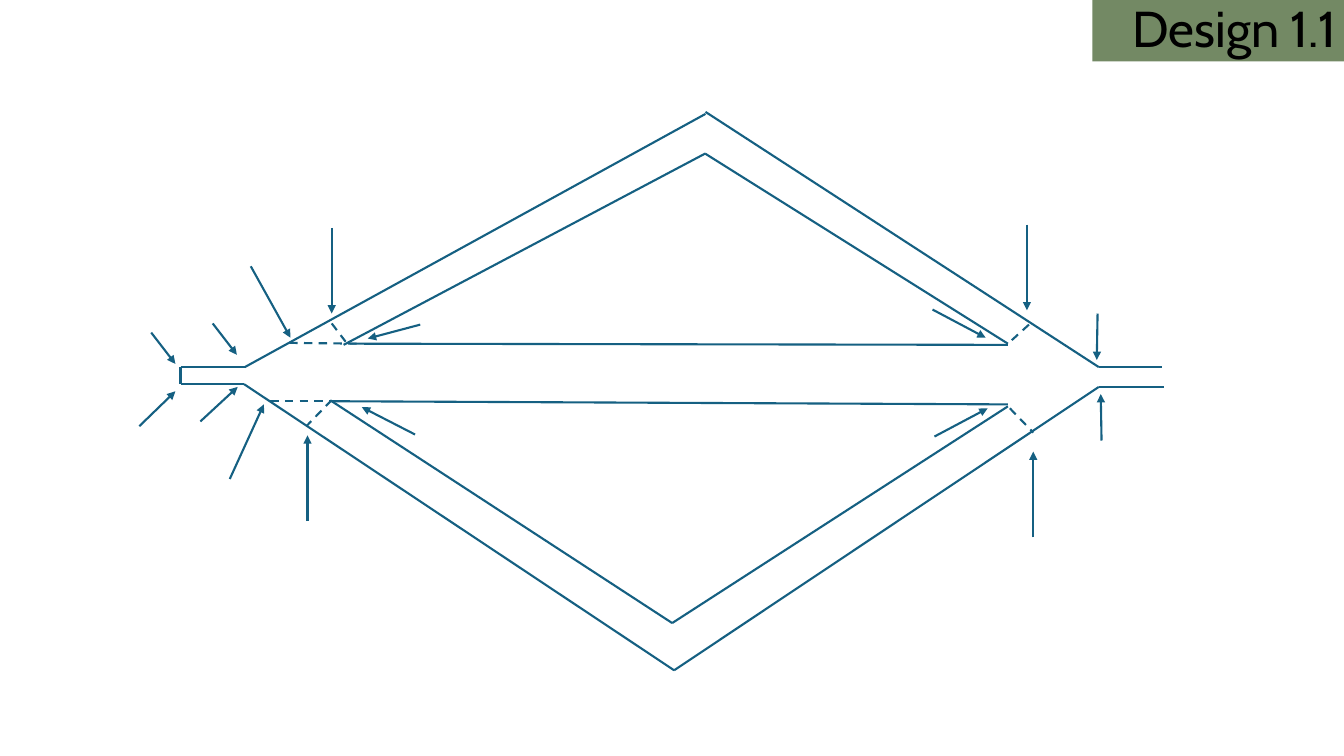
"""Build the Design 1.1 slide: a split diamond channel with arrows at its joints."""
import pptx
import pptx.util
import pptx.dml.color
import pptx.enum.dml
import pptx.enum.shapes
import pptx.enum.text
import lxml.etree
from pptx.util import Cm

DRAWING_NS = "{http://schemas.openxmlformats.org/drawingml/2006/main}"


def colour(hex_string):
    return pptx.dml.color.RGBColor.from_string(hex_string)


def draw_line(start, end):
    connector = slide.shapes.add_connector(
        pptx.enum.shapes.MSO_CONNECTOR.STRAIGHT, *map(Cm, start + end))
    connector.line.color.rgb = colour("156082")
    connector.line.width = pptx.util.Pt(1.5)
    lxml.etree.SubElement(connector.element.spPr, DRAWING_NS + "effectLst")
    return connector


deck = pptx.Presentation()
deck.slide_width, deck.slide_height = Cm(33.87), Cm(19.05)
slide = deck.slides.add_slide(deck.slide_layouts[5])

title = slide.shapes.title
title.left, title.top, title.width, title.height = Cm(27.53), Cm(0.03), Cm(6.4), Cm(1.52)
heading = title.text_frame
heading.text = "Design 1.1"
heading.auto_size = pptx.enum.text.MSO_AUTO_SIZE.NONE
heading.vertical_anchor = pptx.enum.text.MSO_ANCHOR.MIDDLE
heading.paragraphs[0].alignment = pptx.enum.text.PP_ALIGN.RIGHT
heading.paragraphs[0].line_spacing = 0.9
heading_font = heading.paragraphs[0].runs[0].font
heading_font.name = "Cabin"
heading_font.size = pptx.util.Pt(36)
heading_font.color.rgb = colour("000000")

title_band = slide.shapes.add_shape(
    pptx.enum.shapes.MSO_SHAPE.RECTANGLE, Cm(27.53), Cm(-0.18), Cm(6.6), Cm(1.73))
title_band.shadow.inherit = False
title_band.fill.solid()
title_band.fill.fore_color.rgb = colour("385723")
title_band.line.fill.background()
band_colour = title_band.element.spPr.find(f"{DRAWING_NS}solidFill/{DRAWING_NS}srgbClr")
lxml.etree.SubElement(band_colour, DRAWING_NS + "alpha", val="70000")
title.element.addprevious(title_band.element)

inlet_top, inlet_bottom = (4.55, 9.25), (4.55, 9.68)
fork_top, fork_bottom = (6.17, 9.25), (6.15, 9.68)
merge_top, merge_bottom = (27.69, 9.25), (27.69, 9.75)
outer_bottom = (16.99, 16.89)
inner_top, inner_bottom = (17.77, 3.87), (16.94, 15.7)
lower_left = (8.36, 10.11)

walls = [
    (inlet_top, inlet_bottom),
    (inlet_top, fork_top),
    (inlet_bottom, fork_bottom),
    (fork_top, (17.78, 2.87)),
    ((17.78, 2.82), merge_top),
    (fork_bottom, outer_bottom),
    (outer_bottom, merge_bottom),
    (merge_top, (29.29, 9.25)),
    (merge_bottom, (29.34, 9.75)),
    (inner_top, (8.66, 8.69)),
    (inner_top, (25.4, 8.66)),
    ((8.81, 8.66), (25.4, 8.69)),
    (inner_bottom, lower_left),
    (inner_bottom, (25.4, 10.24)),
    (lower_left, (25.4, 10.19)),
]
gates = [
    ((7.29, 8.64), (9.07, 8.66)),
    ((8.36, 8.15), (8.71, 8.61)),
    ((6.81, 10.11), (8.64, 10.11)),
    ((8.36, 10.08), (7.72, 10.74)),
    ((25.93, 8.18), (25.4, 8.66)),
    ((25.45, 10.29), (26.04, 10.9)),
]
joint_arrows = [
    ((3.81, 8.38), (4.42, 9.17)),
    ((3.51, 10.74), (4.42, 9.86)),
    ((5.36, 8.15), (5.97, 8.94)),
    ((5.05, 10.62), (5.99, 9.75)),
    ((6.32, 6.71), (7.32, 8.51)),
    ((5.79, 12.07), (6.65, 10.19)),
    ((8.36, 5.74), (8.36, 7.9)),
    ((7.75, 13.13), (7.75, 10.97)),
    ((10.59, 8.18), (9.27, 8.53)),
    ((10.46, 10.95), (9.12, 10.26)),
    ((23.5, 7.8), (24.84, 8.51)),
    ((23.55, 11), (24.89, 10.29)),
    ((25.88, 5.66), (25.88, 7.82)),
    ((26.04, 13.54), (26.04, 11.38)),
    ((27.66, 7.9), (27.64, 9.07)),
    ((27.76, 11.1), (27.74, 9.93)),
]

for start, end in walls:
    draw_line(start, end)
for start, end in gates:
    draw_line(start, end).line.dash_style = pptx.enum.dml.MSO_LINE.DASH
for start, end in joint_arrows:
    arrow = draw_line(start, end)
    lxml.etree.SubElement(arrow.element.spPr.find(DRAWING_NS + "ln"),
                          DRAWING_NS + "tailEnd", type="triangle")

deck.save("out.pptx")
